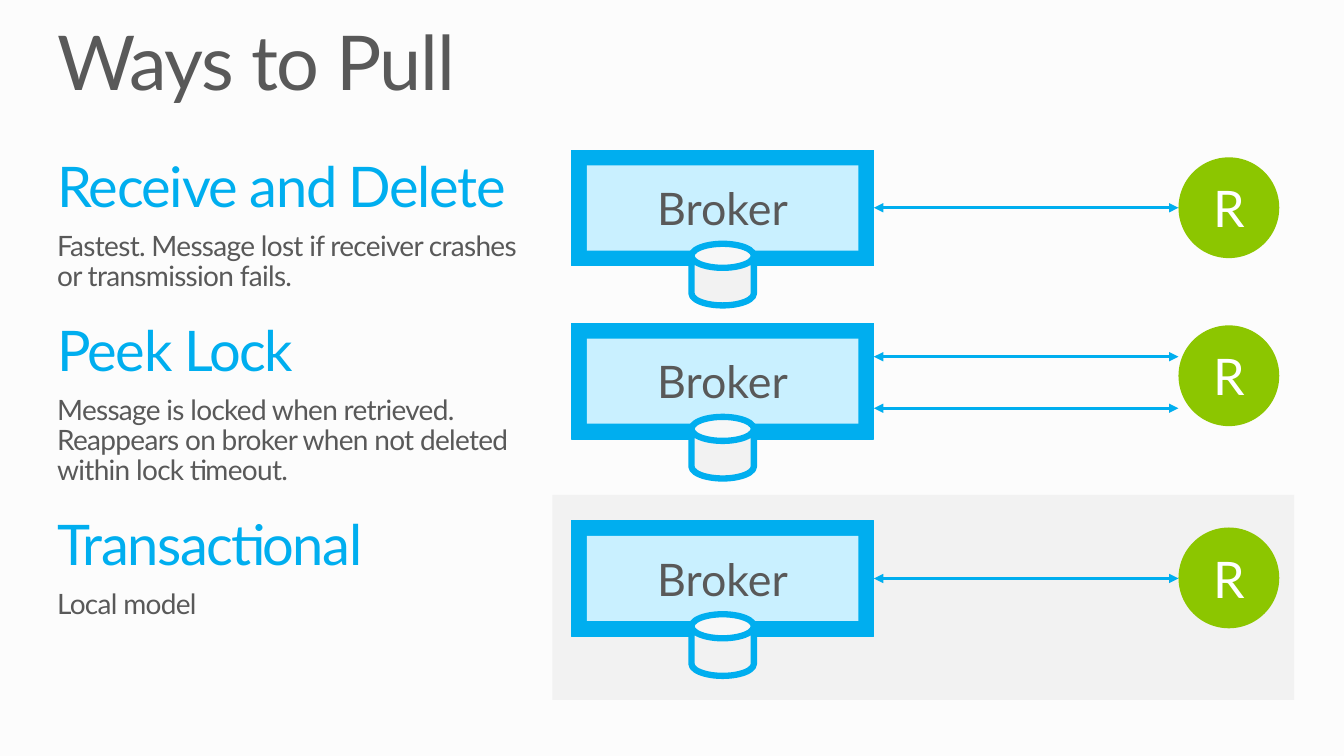
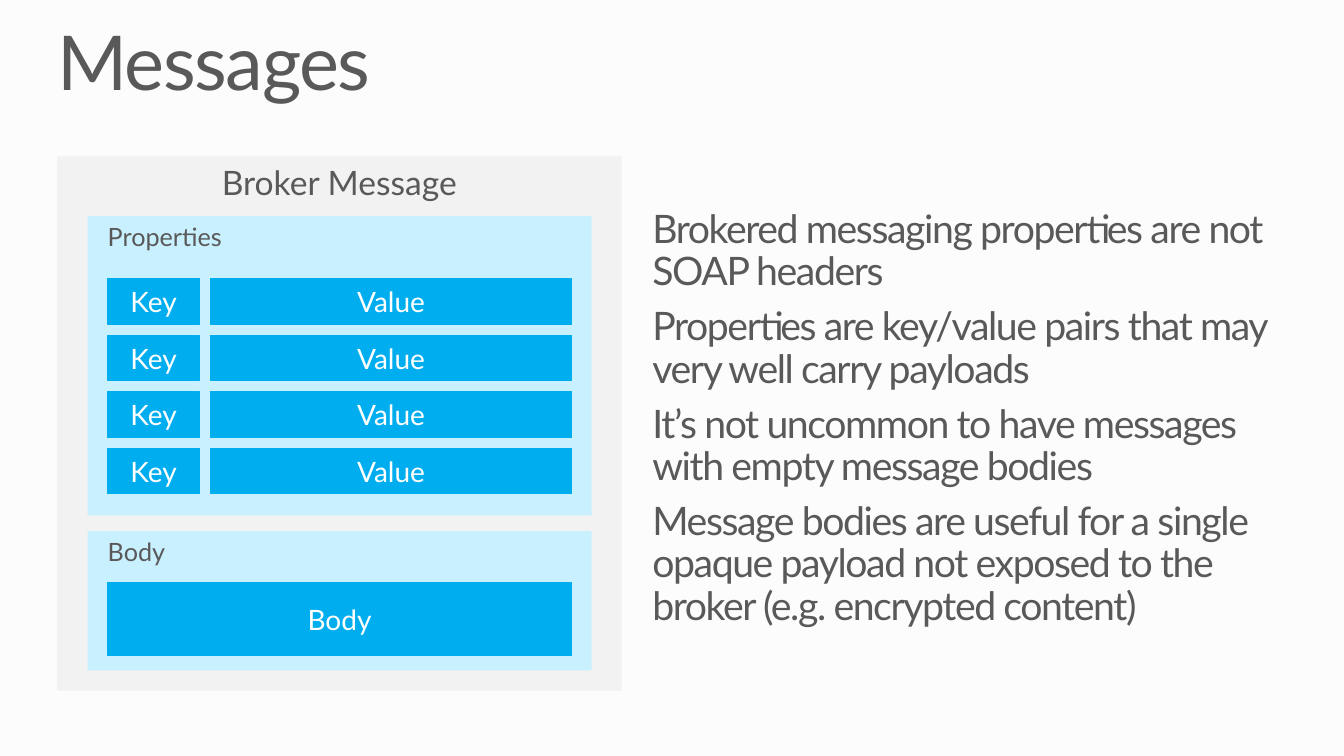
from lxml.etree import SubElement
from pptx import Presentation
from pptx.dml.color import RGBColor
from pptx.enum.shapes import MSO_CONNECTOR, MSO_SHAPE
from pptx.enum.text import MSO_ANCHOR, MSO_AUTO_SIZE, PP_ALIGN
from pptx.oxml.ns import qn
from pptx.util import Pt

COLORS = {
    "background": "FCFCFC",
    "panel": "F2F2F2",
    "text": "595959",
    "blue": "00AEEF",
    "pale blue": "C9F0FF",
    "green": "8CC600",
    "white": "FFFFFF",
}
RGB = {name: RGBColor.from_string(value) for name, value in COLORS.items()}
FONT = "Lato"
TITLE_BOX = (40.8, 18, 878.4, 59)

# Placeholder text styles; tracking is in hundredths of a point
STYLES = {
    "title": {"size": 54, "color": "text", "tracking": -100,
              "paragraph": {"space_after": Pt(0)}},
    "heading": {"size": 40, "color": "blue", "tracking": -100,
                "paragraph": {"space_before": Pt(21.6), "space_after": Pt(9)}},
    "detail": {"size": 20, "color": "text", "tracking": -50,
               "paragraph": {"level": 1, "space_after": Pt(0)}},
    "point": {"size": 28, "color": "text", "tracking": -100,
              "paragraph": {"space_after": Pt(9)}},
}
PARAGRAPH_BASE = {"alignment": PP_ALIGN.LEFT, "line_spacing": 0.9, "space_before": Pt(0)}
PLACEHOLDER_FRAME = {
    "word_wrap": True, "auto_size": MSO_AUTO_SIZE.NONE, "vertical_anchor": MSO_ANCHOR.TOP,
    "margin_left": 0, "margin_top": 0, "margin_right": 0, "margin_bottom": 0,
}

# Text formats for shapes
CENTERED = {"vertical_anchor": MSO_ANCHOR.MIDDLE}
TOP = {"vertical_anchor": MSO_ANCHOR.TOP}
SECTION = {**TOP, "margin_left": Pt(14.4)}


def fill_placeholder(placeholder, box, lines):
    """Place a placeholder and write (style, text) lines into it."""
    placeholder.left, placeholder.top, placeholder.width, placeholder.height = map(Pt, box)
    frame = placeholder.text_frame
    for name, value in PLACEHOLDER_FRAME.items():
        setattr(frame, name, value)
    for index, (style_name, text) in enumerate(lines):
        style = STYLES[style_name]
        paragraph = frame.add_paragraph() if index else frame.paragraphs[0]
        properties = paragraph._p.get_or_add_pPr()
        properties.set("marL", "0")
        properties.set("indent", "0")
        SubElement(properties, qn("a:buNone"))
        for name, value in {**PARAGRAPH_BASE, **style["paragraph"]}.items():
            setattr(paragraph, name, value)
        if index == 0:
            paragraph.space_before = Pt(0)
        run = paragraph.add_run()
        run.text = text
        run.font.name, run.font.size = FONT, Pt(style["size"])
        run.font.color.rgb = RGB[style["color"]]
        run._r.get_or_add_rPr().set("spc", str(style["tracking"]))


def add_block(slide, kind, box, fill, text="", size=20, color="white",
              line=0, frame_format=CENTERED, alignment=PP_ALIGN.CENTER):
    """Add a filled preset shape with optional text and blue outline."""
    shape = slide.shapes.add_shape(kind, *map(Pt, box))
    shape.shadow.inherit = False
    shape.fill.solid()
    shape.fill.fore_color.rgb = RGB[fill]
    if line:
        shape.line.color.rgb = RGB["blue"]
        shape.line.width = Pt(line)
    else:
        shape.line.fill.background()
    if text:
        frame = shape.text_frame
        for name, value in {"word_wrap": True, **frame_format}.items():
            setattr(frame, name, value)
        paragraph = frame.paragraphs[0]
        paragraph.alignment = alignment
        run = paragraph.add_run()
        run.text = text
        run.font.name, run.font.size = FONT, Pt(size)
        run.font.color.rgb = RGB[color]
    return shape


presentation = Presentation()
presentation.slide_width, presentation.slide_height = Pt(960), Pt(540)
background = presentation.slide_master.background.fill
background.solid()
background.fore_color.rgb = RGB["background"]
layout = presentation.slide_layouts[1]

# Slide 1: titles and descriptions of the pull modes
slide = presentation.slides.add_slide(layout)
fill_placeholder(slide.shapes.title, TITLE_BOX, [("title", "Ways to Pull")])
fill_placeholder(slide.placeholders[1], (40.8, 113.8, 341.3, 332.6), [
    ("heading", "Receive and Delete"),
    ("detail", "Fastest. Message lost if receiver crashes or transmission fails."),
    ("heading", "Peek Lock"),
    ("detail", "Message is locked when retrieved. Reappears on broker when not deleted "
               "within lock timeout."),
    ("heading", "Transactional"),
    ("detail", "Local model"),
])

# Panel behind the local model
add_block(slide, MSO_SHAPE.RECTANGLE, (394.5, 353.5, 530, 146.5), "panel")

# One broker, store and receiver per mode: broker top, receiver top, arrow heights
broker_left, broker_width, broker_height, border = 408.2, 216, 82.8, 11
receiver_left, receiver_size = 841.8, 72
store_width, store_height, store_drop = 44.6, 44, 67
for broker_top, receiver_top, arrow_heights in [
    (107.2, 112.4, [148.4]),
    (230.8, 232.4, [254.8, 291.6]),
    (371.8, 376.8, [413.2]),
]:
    add_block(slide, MSO_SHAPE.RECTANGLE,
              (broker_left, broker_top, broker_width, broker_height), "blue", line=0.75)
    add_block(slide, MSO_SHAPE.RECTANGLE,
              (broker_left + border, broker_top + border,
               broker_width - 2 * border, broker_height - 2 * border),
              "pale blue", "Broker", 32, "text")
    store = add_block(slide, MSO_SHAPE.CAN,
                      (broker_left + (broker_width - store_width) / 2,
                       broker_top + store_drop, store_width, store_height),
                      "panel", line=4.5)
    store.adjustments[0] = 0.39
    add_block(slide, MSO_SHAPE.OVAL,
              (receiver_left, receiver_top, receiver_size, receiver_size),
              "green", "R", 36)
    for height in arrow_heights:
        arrow = slide.shapes.add_connector(
            MSO_CONNECTOR.STRAIGHT, Pt(broker_left + broker_width), Pt(height),
            Pt(receiver_left), Pt(height))
        arrow.line.color.rgb = RGB["blue"]
        arrow.line.width = Pt(2.25)
        properties = arrow._element.spPr
        outline = properties.find(qn("a:ln"))
        for end in ("a:headEnd", "a:tailEnd"):
            SubElement(outline, qn(end), type="triangle")
        SubElement(properties, qn("a:effectLst"))

# Slide 2: title and points
slide = presentation.slides.add_slide(layout)
fill_placeholder(slide.shapes.title, TITLE_BOX, [("title", "Messages")])
fill_placeholder(slide.placeholders[1], (466, 149.8, 453, 302.4), [
    ("point", "Brokered messaging properties are not SOAP headers"),
    ("point", "Properties are key/value pairs that may very well carry payloads"),
    ("point", "It’s not uncommon to have messages with empty message bodies"),
    ("point", "Message bodies are useful for a single opaque payload not exposed to the "
              "broker (e.g. encrypted content)"),
])

# Message envelope with its two sections
add_block(slide, MSO_SHAPE.RECTANGLE, (40.8, 111.8, 403.2, 381.6), "panel",
          "Broker Message", 24, "text", frame_format=TOP)
for label, top, height in [("Properties", 154.2, 214), ("Body", 379.4, 99.4)]:
    add_block(slide, MSO_SHAPE.RECTANGLE, (62.6, top, 360, height), "pale blue",
              label, 18, "text", frame_format=SECTION, alignment=PP_ALIGN.LEFT)

# Key/value rows and the message body
row_top, row_height, row_pitch = 199.2, 32.6, 40.3
for row in range(4):
    for label, left, width in [("Key", 77, 65.6), ("Value", 150.4, 257.8)]:
        add_block(slide, MSO_SHAPE.RECTANGLE,
                  (left, row_top + row * row_pitch, width, row_height),
                  "blue", label, line=0.75)
add_block(slide, MSO_SHAPE.RECTANGLE, (77, 416.2, 331.2, 52), "blue", "Body", line=0.75)

presentation.save("out.pptx")
